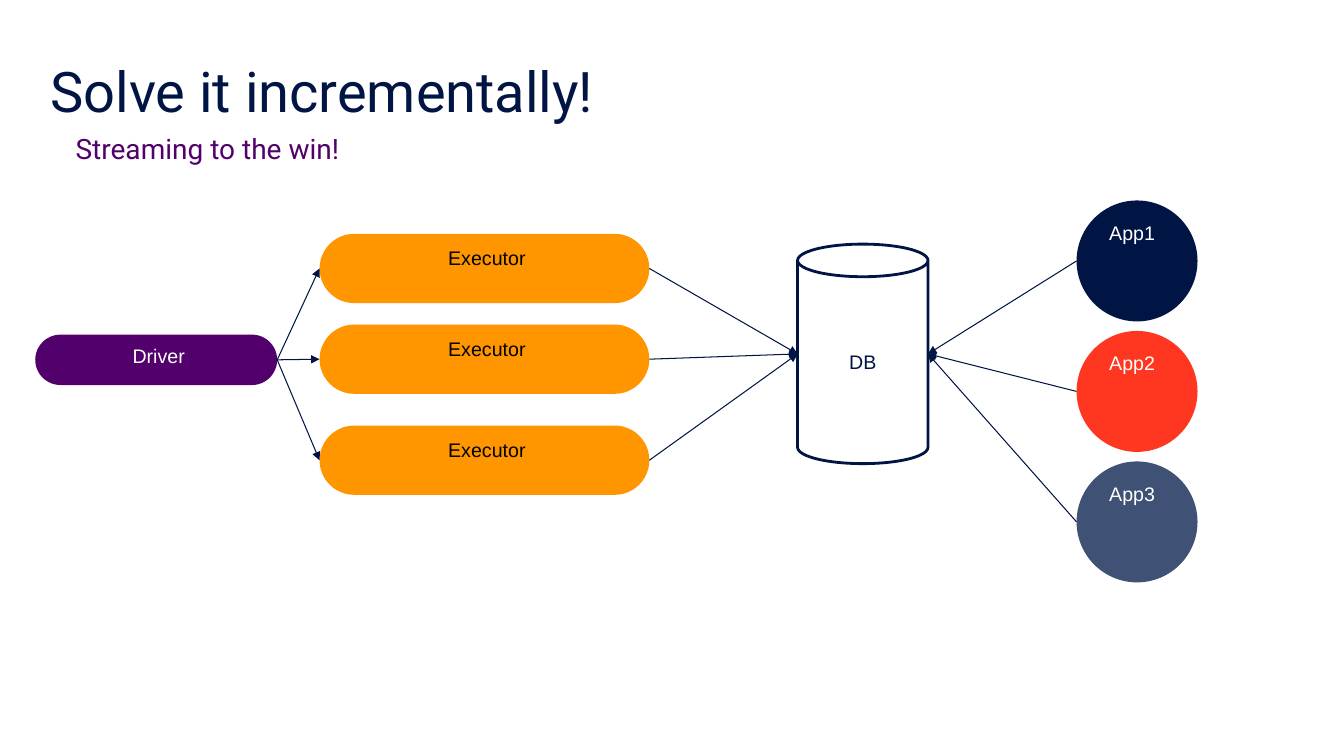
from dataclasses import dataclass

from lxml.etree import SubElement
from pptx import Presentation
from pptx.dml.color import RGBColor
from pptx.enum.shapes import MSO_CONNECTOR as Connector, MSO_SHAPE as Preset
from pptx.enum.text import MSO_ANCHOR as Anchor, PP_ALIGN as Align
from pptx.oxml.ns import qn
from pptx.slide import Slide
from pptx.text.text import TextFrame
from pptx.util import Pt

COLORS = {
    "navy": "001543",
    "deep_navy": "001544",
    "purple": "51006C",
    "orange": "FF9600",
    "red": "FF3620",
    "slate": "3F5174",
    "white": "FFFFFF",
    "black": "000000",
}


@dataclass(frozen=True)
class TextStyle:
    color: str
    size: float = 14
    font: str = "Arial"
    align: Align = Align.CENTER
    anchor: Anchor = Anchor.TOP
    side_inset: float = 7.2
    left_margin: float = 3.6
    first_indent: float = 0
    line_spacing: float = 0.9


@dataclass(frozen=True)
class Box:
    left: float
    top: float
    width: float
    height: float

    @property
    def left_port(self) -> tuple[float, float]:
        return self.left, self.top + self.height / 2

    @property
    def right_port(self) -> tuple[float, float]:
        return self.left + self.width, self.top + self.height / 2


@dataclass(frozen=True)
class Node:
    label: str
    preset: Preset
    box: Box
    fill: str
    style: TextStyle
    outline: str | None = None


def rgb(name: str) -> RGBColor:
    return RGBColor.from_string(COLORS[name])


def write_text(text_frame: TextFrame, text: str, style: TextStyle) -> None:
    text_frame.text = text
    text_frame.word_wrap = True
    text_frame.vertical_anchor = style.anchor
    text_frame.margin_left = text_frame.margin_right = Pt(style.side_inset)
    text_frame.margin_top = text_frame.margin_bottom = Pt(3.6)
    paragraph = text_frame.paragraphs[0]
    paragraph.alignment = style.align
    paragraph.line_spacing = style.line_spacing
    properties = paragraph._p.get_or_add_pPr()
    properties.set("marL", str(Pt(style.left_margin)))
    properties.set("indent", str(Pt(style.first_indent)))
    font = paragraph.runs[0].font
    font.name = style.font
    font.size = Pt(style.size)
    font.color.rgb = rgb(style.color)


def add_heading(slide: Slide, text: str, box: Box, style: TextStyle) -> None:
    shape = slide.shapes.add_textbox(
        Pt(box.left), Pt(box.top), Pt(box.width), Pt(box.height))
    write_text(shape.text_frame, text, style)


def add_node(slide: Slide, node: Node) -> None:
    box = node.box
    shape = slide.shapes.add_shape(
        node.preset, Pt(box.left), Pt(box.top), Pt(box.width), Pt(box.height))
    shape.shadow.inherit = False
    if node.preset == Preset.ROUNDED_RECTANGLE:
        shape.adjustments[0] = 0.5
    shape.fill.solid()
    shape.fill.fore_color.rgb = rgb(node.fill)
    if node.outline:
        shape.line.color.rgb = rgb(node.outline)
        shape.line.width = Pt(2)
    else:
        shape.line.fill.background()
    write_text(shape.text_frame, node.label, node.style)


def add_arrow(slide: Slide, start: tuple[float, float],
              end: tuple[float, float]) -> None:
    arrow = slide.shapes.add_connector(
        Connector.STRAIGHT, *(Pt(value) for value in (*start, *end)))
    arrow.line.color.rgb = rgb("navy")
    arrow.line.width = Pt(0.75)
    SubElement(arrow.line._get_or_add_ln(), qn("a:tailEnd"), type="triangle")
    SubElement(arrow._element.spPr, qn("a:effectLst"))


# Text styles
TITLE = TextStyle("navy", 40, "Roboto", Align.LEFT, Anchor.BOTTOM, 0, 0)
SUBTITLE = TextStyle("purple", 20, "Roboto", Align.LEFT, Anchor.TOP, 0, 36, -18)
ON_DARK = TextStyle("white")
ON_ORANGE = TextStyle("black")
APP_LABEL = TextStyle("white", align=Align.LEFT)
DB_LABEL = TextStyle("navy", anchor=Anchor.MIDDLE, left_margin=0, line_spacing=1)

# Pipeline stages, left to right
DRIVER = Node("Driver", Preset.ROUNDED_RECTANGLE,
              Box(25.2, 239.04, 172.8, 36), "purple", ON_DARK)
EXECUTORS = [
    Node("Executor", Preset.ROUNDED_RECTANGLE,
         Box(228.24, top, 235.6, 49.5), "orange", ON_ORANGE)
    for top in (167.04, 231.84, 304)
]
DATABASE = Node("DB", Preset.CAN, Box(569.7, 174.4, 93.2, 156.8),
                "white", DB_LABEL, "deep_navy")
APPS = [
    Node(f"App{index + 1}", Preset.OVAL,
         Box(769, 143.2 + 93.2 * index, 86.4, 86.4), fill, APP_LABEL)
    for index, fill in enumerate(("deep_navy", "red", "slate"))
]


def main() -> None:
    presentation = Presentation()
    presentation.slide_width, presentation.slide_height = Pt(960), Pt(540)
    slide = presentation.slides.add_slide(presentation.slide_layouts[6])

    # Headings
    add_heading(slide, "Solve it incrementally!", Box(36, 14.4, 886.5, 78.5), TITLE)
    add_heading(slide, "Streaming to the win!", Box(36, 92.9, 888, 50.4), SUBTITLE)

    # Nodes
    for node in (DRIVER, *EXECUTORS, *APPS, DATABASE):
        add_node(slide, node)

    # Data flow
    for executor in EXECUTORS:
        add_arrow(slide, DRIVER.box.right_port, executor.box.left_port)
    for executor in EXECUTORS:
        add_arrow(slide, executor.box.right_port, DATABASE.box.left_port)
    for app in APPS:
        add_arrow(slide, app.box.left_port, DATABASE.box.right_port)

    presentation.save("out.pptx")


if __name__ == "__main__":
    main()
